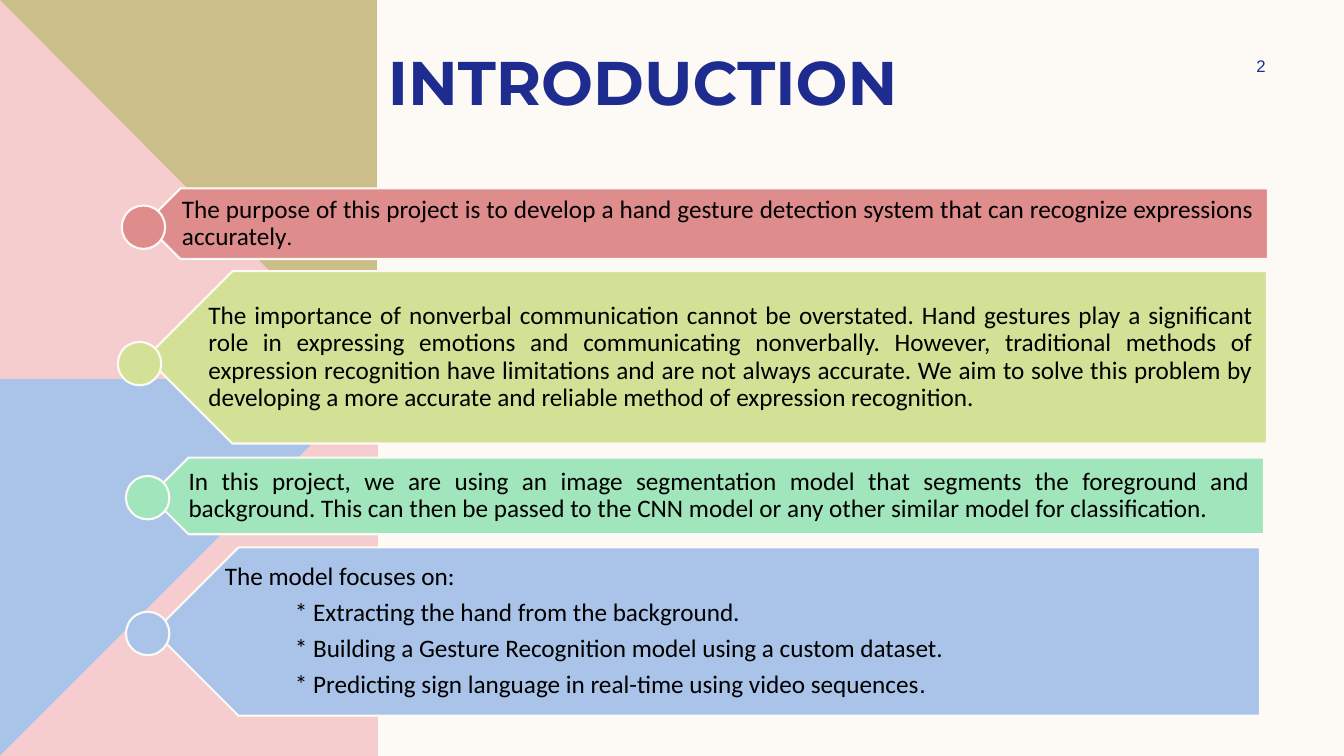
import pptx
import pptx.util
import pptx.dml.color
import pptx.enum.shapes
import pptx.enum.text

Pt = pptx.util.Pt
PRESET = pptx.enum.shapes.MSO_SHAPE
ALIGN = pptx.enum.text.PP_ALIGN
MIDDLE = pptx.enum.text.MSO_ANCHOR.MIDDLE

COLORS = {
    "cream": "FDFAF6", "navy": "1F2C8F", "black": "000000",
    "blue": "AAC3E8", "pink": "F5CDCE", "khaki": "CCBE89",
    "rose": "DE8C8C", "lime": "D2E196", "mint": "A0E5BB",
}


def paint(shape, color, outline=None):
    """Fill a shape, outline it if asked, and drop its shadow."""
    shape.shadow.inherit = False
    shape.fill.solid()
    shape.fill.fore_color.rgb = pptx.dml.color.RGBColor.from_string(COLORS[color])
    if outline:
        shape.line.color.rgb = pptx.dml.color.RGBColor.from_string(COLORS[outline])
        shape.line.width = Pt(1.5)
    else:
        shape.line.fill.background()


def write(paragraphs, box, font="Calibri", size=18, color="black", bold=False,
          align=ALIGN.JUSTIFY, insets=(7.2, 3.6, 7.2, 3.6), spacing=1.0,
          after=0, indents=(0,)):
    """Add a text box; each paragraph is a list of (text, font changes)."""
    frame = slide.shapes.add_textbox(*map(Pt, box)).text_frame
    frame.word_wrap = True
    frame.vertical_anchor = MIDDLE
    (frame.margin_left, frame.margin_top,
     frame.margin_right, frame.margin_bottom) = map(Pt, insets)
    for number, (runs, indent) in enumerate(zip(paragraphs, indents)):
        paragraph = frame.add_paragraph() if number else frame.paragraphs[0]
        paragraph.alignment = align
        paragraph.line_spacing = spacing
        paragraph.space_after = Pt(after)
        paragraph._p.get_or_add_pPr().set("marL", str(Pt(indent)))
        for text, changes in runs:
            run = paragraph.add_run()
            run.text = text
            run.font.name = changes.get("font", font)
            run.font.size = Pt(changes.get("size", size))
            run.font.bold = bold
            run.font.color.rgb = pptx.dml.color.RGBColor.from_string(COLORS[color])


deck = pptx.Presentation()
deck.slide_width, deck.slide_height = Pt(960), Pt(540)
slide = deck.slides.add_slide(deck.slide_layouts[6])
slide.background.fill.solid()
slide.background.fill.fore_color.rgb = pptx.dml.color.RGBColor.from_string(COLORS["cream"])

# Side panel: two squares, each split along a diagonal
side = 270
panel = [
    ("blue", [(0, side), (side, side), (side, 2 * side), (0, 2 * side)]),
    ("pink", [(side, side), (side, 2 * side), (0, 2 * side)]),
    ("khaki", [(0, 0), (269.3, 0), (269.3, 270.7), (0, 270.7)]),
    ("pink", [(0, 0), (269.3, 270.7), (0, 270.7)]),
]
for color, corners in panel:
    outline = slide.shapes.build_freeform(*map(Pt, corners[0]), scale=1.0)
    outline.add_line_segments([tuple(map(Pt, corner)) for corner in corners[1:]])
    paint(outline.convert_to_shape(), color)

write([[("INTRODUCTION", {})]], (270, 27.4, 532.8, 60.5), font="Montserrat",
      size=44, color="navy", bold=True, align=ALIGN.LEFT)

purpose = [[("The purpose of this project is to develop a hand gesture detection "
             "system that can recognize expressions accurately", {}),
            (".", {"size": 16})]]
importance = [[("The importance of nonverbal communication cannot be overstated. "
                "Hand gestures play a significant role in expressing emotions and "
                "communicating nonverbally. However, traditional methods of "
                "expression recognition have limitations and are not always "
                "accurate. We aim to solve this problem by developing a more "
                "accurate and reliable method of expression recognition.", {})]]
approach = [[("In this project, we are using an image segmentation model that "
              "segments the foreground and background. This can then be passed to "
              "the CNN model or any other similar model for classification.", {})]]
focus = [
    [("The model focuses on:", {})],
    [("* Extracting the hand from the background.", {})],
    [("* Building a Gesture Recognition model using a custom dataset.", {})],
    [("* Predicting sign language in real-time using video sequences", {}),
     (".", {"font": "Arial"})],
]

# Banner: color, left, top, width, height, dot left, dot top, text, indents
dot = 31
banners = [
    ("rose", 103.7, 134.6, 802, 50.4, 87, 146.8, purpose, (0,)),
    ("lime", 104.4, 193.7, 800.6, 123.1, 84.2, 244.2, importance, (0,)),
    ("mint", 107.3, 326.9, 795.6, 54.7, 90, 340, approach, (0,)),
    ("blue", 110.2, 391, 789.8, 120.2, 90, 437, focus, (6.7, 56.7, 56.7, 56.7)),
]
for color, left, top, width, height, dot_left, dot_top, text, indents in banners:
    banner = slide.shapes.add_shape(PRESET.PENTAGON, Pt(left), Pt(top), Pt(width), Pt(height))
    banner.rotation = 180
    paint(banner, color, "cream")
    point = height / 4
    write(text, (left + point, top, width - point, height), spacing=0.9, after=6.3,
          insets=(13.7, 5, 10, 5), indents=indents)
    marker = slide.shapes.add_shape(PRESET.OVAL, Pt(dot_left), Pt(dot_top), Pt(dot), Pt(dot))
    paint(marker, color, "cream")

write([[("2", {})]], (861.8, 36, 77.8, 21.6), font="Arial", size=12,
      color="navy", align=ALIGN.CENTER)

deck.save("out.pptx")
